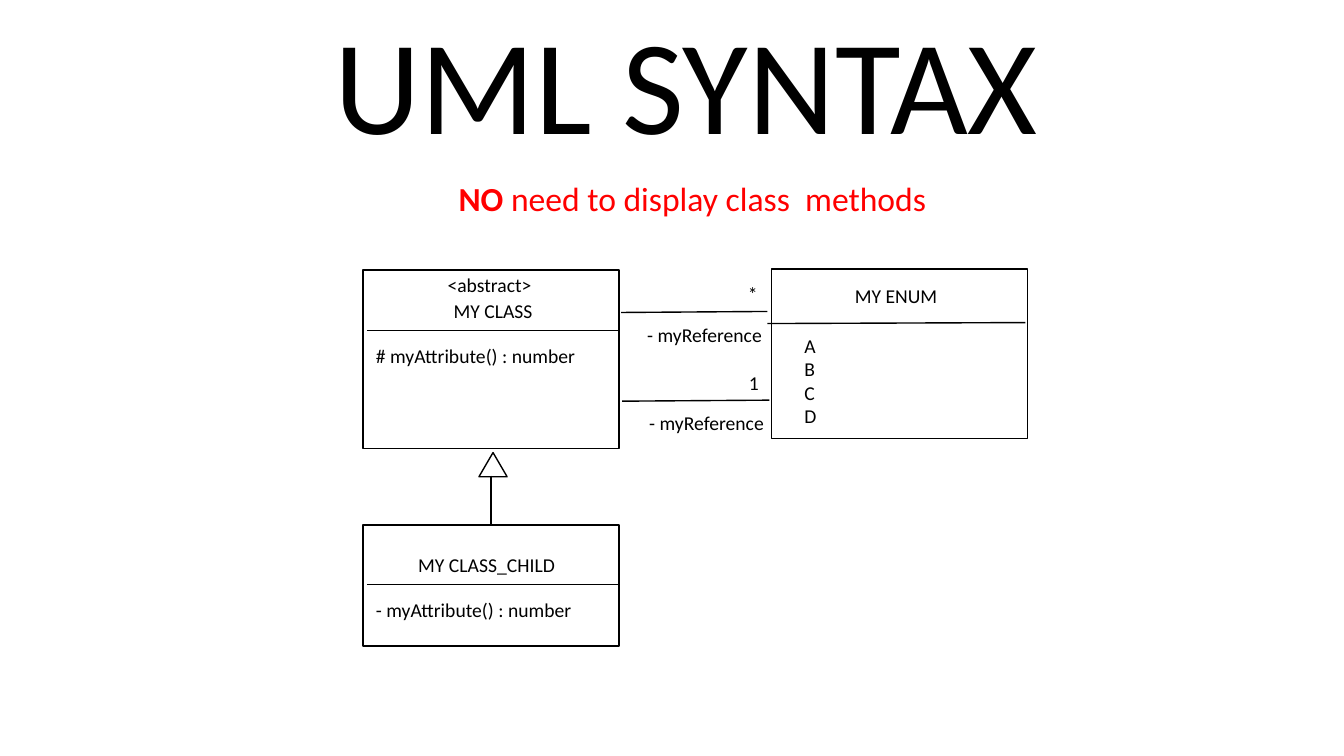
from lxml import etree
from pptx import Presentation
from pptx.dml.color import RGBColor
from pptx.enum.shapes import MSO_CONNECTOR, MSO_SHAPE
from pptx.enum.text import MSO_AUTO_SIZE
from pptx.oxml.ns import qn
from pptx.util import Inches, Pt

COLORS = {"ink": "000000", "paper": "FFFFFF", "alert": "FF0000"}
FONT = "Calibri"
BODY_SIZE = 14
LABEL_H = 0.34

# Class boxes: left, top, width, height
BOXES = [
    (3.6, 2.68, 2.54, 1.77),
    (7.65, 2.67, 2.54, 1.68),
    (3.6, 5.21, 2.54, 1.2),
]
INHERITANCE_HEAD = (4.75, 4.49, 0.28, 0.24)

# Lines: x1, y1, x2, y2
LINES = [
    (3.64, 3.28, 6.14, 3.28),  # class divider
    (7.61, 3.21, 10.17, 3.2),  # enum divider
    (3.64, 5.8, 6.14, 5.8),    # child divider
    (6.16, 3.1, 7.61, 3.09),   # "many" association
    (6.17, 3.98, 7.63, 3.97),  # "one" association
    (4.87, 4.72, 4.87, 5.21),  # inheritance stem
]

# One-line labels: text, left, top, width
LABELS = [
    ("<abstract>", 4.34, 2.66, 1.05),
    ("MY CLASS", 4.4, 2.92, 0.99),
    ("# myAttribute() : number", 3.63, 3.36, 2.2),
    ("MY ENUM", 8.38, 2.77, 1.03),
    ("MY CLASS_CHILD", 4.05, 5.44, 1.57),
    ("- myAttribute() : number", 3.63, 5.88, 2.16),
    ("*", 7.32, 2.75, 0.3),
    ("- myReference", 6.32, 3.15, 1.35),
    ("1", 7.33, 3.63, 0.3),
    ("- myReference", 6.34, 4.03, 1.35),
]
ENUM_VALUES = ["A", "B", "C", "D"]
TITLE = "UML SYNTAX"
NOTE = [("NO", True), (" need to display class  methods", False)]


def rgb(name):
    return RGBColor.from_string(COLORS[name])


def add_outline(s, kind, box):
    sp = s.shapes.add_shape(kind, *map(Inches, box))
    sp.shadow.inherit = False
    sp.fill.solid()
    sp.fill.fore_color.rgb = rgb("paper")
    sp.line.color.rgb = rgb("ink")
    sp.line.width = Pt(1)


def add_line(s, ends):
    line = s.shapes.add_connector(MSO_CONNECTOR.STRAIGHT, *map(Inches, ends))
    line.line.color.rgb = rgb("ink")
    line.line.width = Pt(1)
    etree.SubElement(line._element.spPr, qn("a:effectLst"))


def add_text(s, paragraphs, box, size=BODY_SIZE, color="ink"):
    """Each paragraph is a list of (text, bold) runs."""
    tf = s.shapes.add_textbox(*map(Inches, box)).text_frame
    tf.word_wrap = False
    tf.auto_size = MSO_AUTO_SIZE.SHAPE_TO_FIT_TEXT
    for i, runs in enumerate(paragraphs):
        p = tf.add_paragraph() if i else tf.paragraphs[0]
        p.font.name = FONT
        p.font.size = Pt(size)
        p.font.color.rgb = rgb(color)
        for text, bold in runs:
            r = p.add_run()
            r.text = text
            r.font.bold = bold


def main():
    prs = Presentation()
    prs.slide_width, prs.slide_height = Inches(13.33), Inches(7.5)
    s = prs.slides.add_slide(prs.slide_layouts[6])

    # Boxes, inheritance triangle and lines
    for box in BOXES:
        add_outline(s, MSO_SHAPE.RECTANGLE, box)
    add_outline(s, MSO_SHAPE.ISOSCELES_TRIANGLE, INHERITANCE_HEAD)
    for ends in LINES:
        add_line(s, ends)

    # Diagram text
    for text, left, top, width in LABELS:
        add_text(s, [[(text, False)]], (left, top, width, LABEL_H))
    add_text(s, [[(v, False)] for v in ENUM_VALUES], (7.88, 3.26, 0.32, 1.04))

    # Title and note
    add_text(s, [[(TITLE, False)]], (3.22, -0.05, 7.55, 1.72), size=96)
    add_text(s, [NOTE], (4.45, 1.72, 4.87, 0.5), size=24, color="alert")

    prs.save("out.pptx")


if __name__ == "__main__":
    main()
